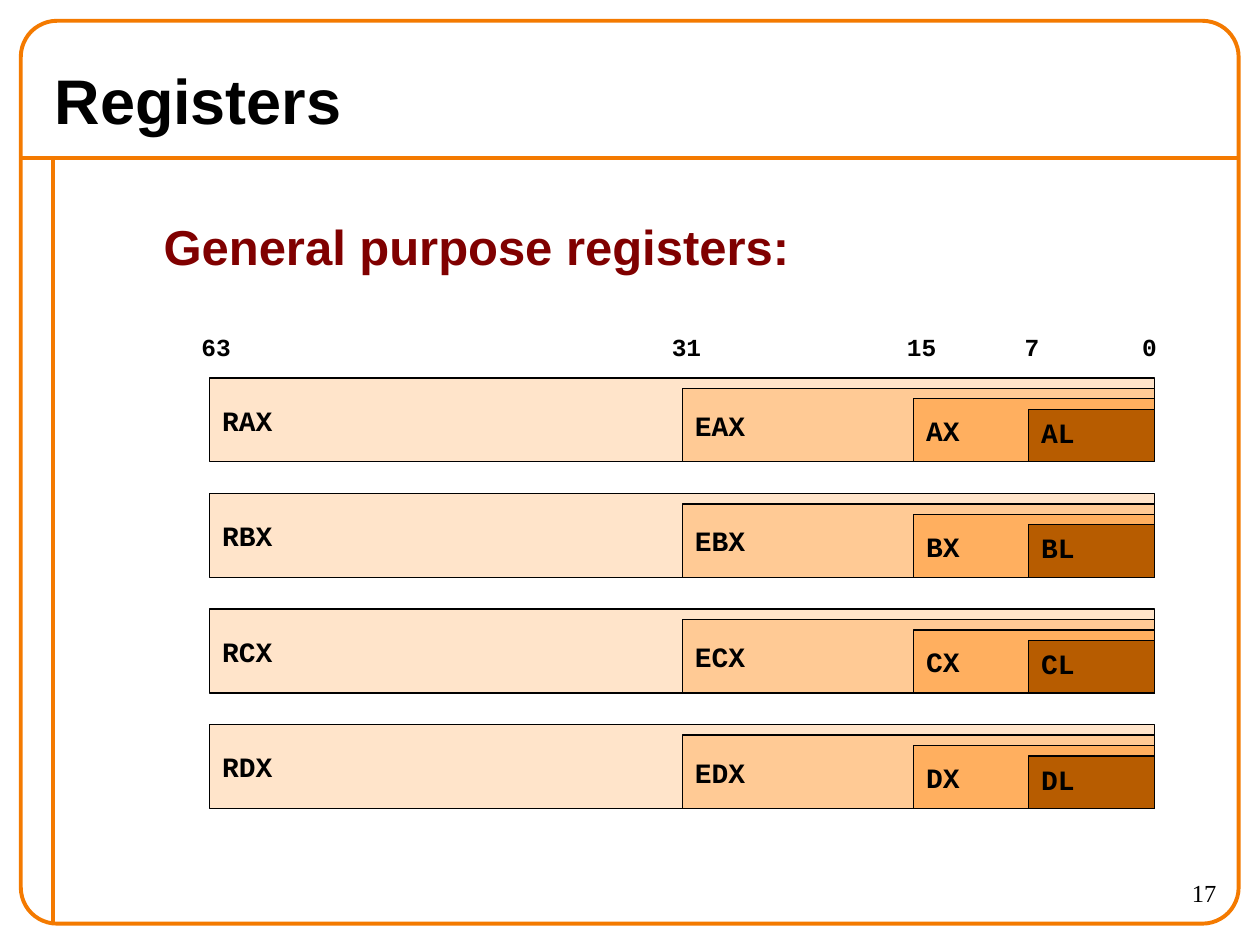
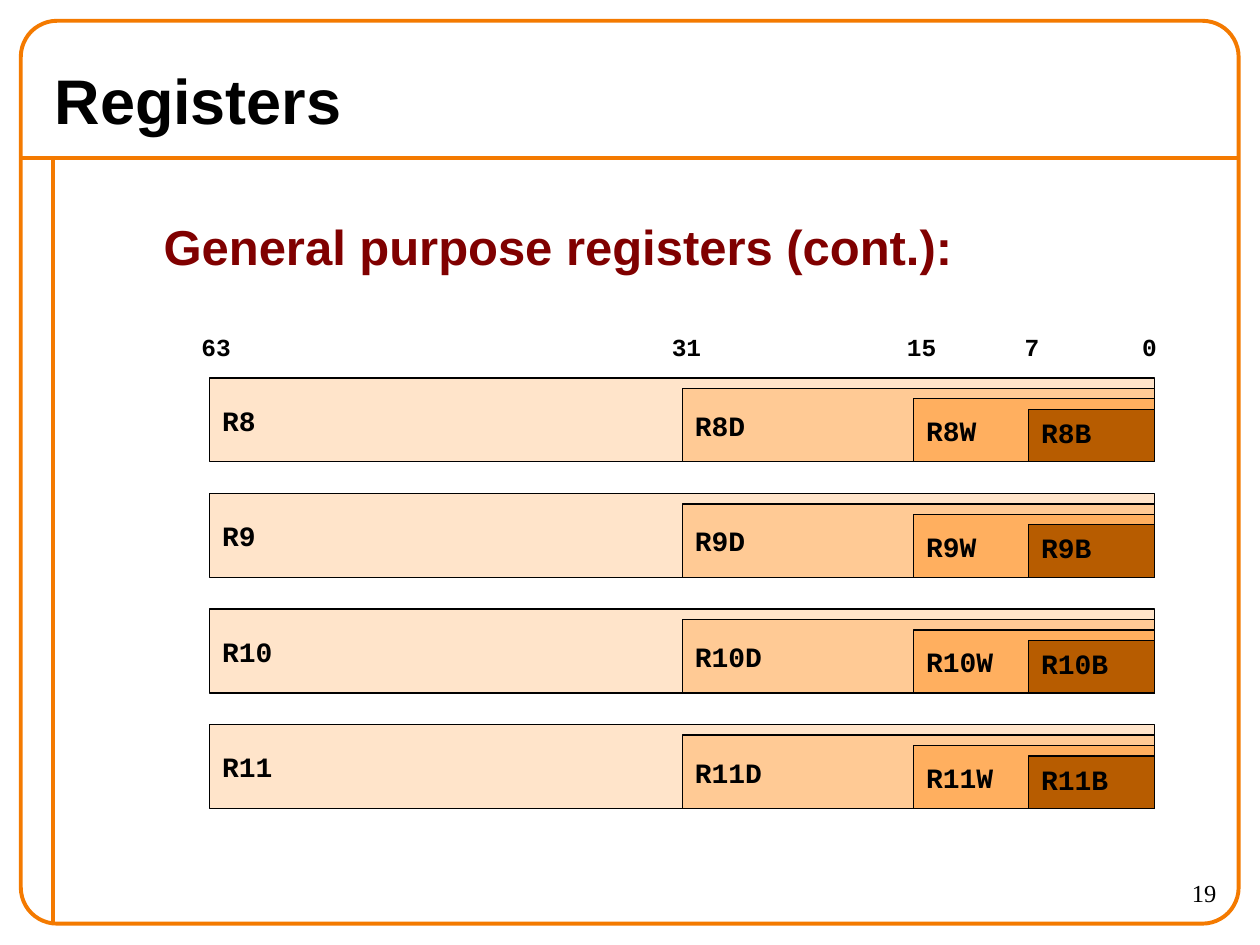
import pptx
import pptx.util
import pptx.dml.color
import pptx.enum.shapes
import pptx.enum.text
import pptx.oxml.ns
import lxml.etree

Cm, Pt = pptx.util.Cm, pptx.util.Pt
KIND = pptx.enum.shapes.MSO_SHAPE
ALIGN = pptx.enum.text.PP_ALIGN
ANCHOR = pptx.enum.text.MSO_ANCHOR

COLORS = {"frame": "F47A00", "head": "800000", "ink": "000000",
          "quad": "FFE4CA", "long": "FFCA95", "word": "FFAF5F", "byte": "B75C00"}

# Register bars, in cm: (colour, left edge) of each nested field
FIELDS = [("quad", 4.23), ("long", 13.76), ("word", 18.42), ("byte", 20.74)]
RIGHT, TOP, TALL = 23.28, 7.62, 1.69
PITCH, STEP = 2.33, 0.21

# Bit marks sit on a grid of monospaced characters
BITS = [63, 31, 15, 7, 0]
BIT_SIZE = 14
CHAR = BIT_SIZE * 0.6

SLIDES = [
    ("General purpose registers:", 17,
     [[f"R{x}X", f"E{x}X", f"{x}X", f"{x}L"] for x in "ABCD"]),
    ("General purpose registers (cont.):", 19,
     [[f"R{n}{end}" for end in ("", "D", "W", "B")] for n in range(8, 12)]),
]


def paint(color):
    return pptx.dml.color.RGBColor.from_string(COLORS[color])


def stroke(line, color, width):
    line.color.rgb = paint(color)
    line.width = Pt(width)


def write(shape, text, size, font, color="ink", bold=True,
          align=ALIGN.LEFT, anchor=ANCHOR.TOP, wrap=True):
    frame = shape.text_frame
    frame.word_wrap = wrap
    frame.vertical_anchor = anchor
    para = frame.paragraphs[0]
    para.text = text
    para.alignment = align
    para.font.size = Pt(size)
    para.font.name = font
    para.font.bold = bold
    para.font.color.rgb = paint(color)
    return para


def label(slide, box, text, size, font, **style):
    shape = slide.shapes.add_textbox(*map(Cm, box))
    return write(shape, text, size, font, **style)


def rule(slide, x1, y1, x2, y2):
    line = slide.shapes.add_connector(
        pptx.enum.shapes.MSO_CONNECTOR.STRAIGHT, Cm(x1), Cm(y1), Cm(x2), Cm(y2))
    stroke(line.line, "frame", 2.25)
    props = line.element.find(pptx.oxml.ns.qn("p:spPr"))
    lxml.etree.SubElement(props, pptx.oxml.ns.qn("a:effectLst"))


def block(slide, kind, box):
    shape = slide.shapes.add_shape(kind, *map(Cm, box))
    shape.shadow.inherit = False
    return shape


def base(slide, title, number):
    # Frame with its two rules
    rule(slide, 0.42, 3.18, 24.98, 3.18)
    rule(slide, 1.06, 3.18, 1.06, 18.63)
    edge = block(slide, KIND.ROUNDED_RECTANGLE, (0.42, 0.42, 24.55, 18.2))
    edge.adjustments[0] = 0.04
    edge.fill.background()
    stroke(edge.line, "frame", 2.25)
    # Title and page number
    label(slide, (0.85, 1.06, 23.71, 1.9), title, 36, "Arial",
          anchor=ANCHOR.MIDDLE)
    label(slide, (22.23, 17.57, 2.54, 1.06), str(number), 14,
          "Times New Roman", bold=False, align=ALIGN.RIGHT)


def scale(slide):
    para = label(slide, (3.81, 6.56, 20.11, 1.45), "\t".join(map(str, BITS)),
                 BIT_SIZE, "Courier New")
    props = para._p.get_or_add_pPr()
    tabs = lxml.etree.Element(pptx.oxml.ns.qn("a:tabLst"))
    for bit in BITS[1:]:
        place = Pt(CHAR * (BITS[0] - bit + bit // 63 + (bit == 0)))
        lxml.etree.SubElement(tabs, pptx.oxml.ns.qn("a:tab"),
                              pos=str(int(place)), algn="l")
    props.insert_element_before(tabs, "a:defRPr", "a:extLst")


def bar(slide, row, names):
    for depth, (name, (color, left)) in enumerate(zip(names, FIELDS)):
        drop = depth * STEP
        field = block(slide, KIND.RECTANGLE,
                      (left, TOP + row * PITCH + drop, RIGHT - left, TALL - drop))
        field.fill.solid()
        field.fill.fore_color.rgb = paint(color)
        stroke(field.line, "ink", 0.75)
        anchor = ANCHOR.TOP if color == "byte" else ANCHOR.MIDDLE
        write(field, name, 16, "Courier New", anchor=anchor)


def main():
    deck = pptx.Presentation()
    deck.slide_width, deck.slide_height = Cm(25.4), Cm(19.05)
    for head, number, rows in SLIDES:
        slide = deck.slides.add_slide(deck.slide_layouts[6])
        base(slide, "Registers", number)
        label(slide, (3.05, 4.24, 16.4, 1.45), head, 28, "Arial",
              color="head", wrap=False)
        scale(slide)
        for row, names in enumerate(rows):
            bar(slide, row, names)
    deck.save("out.pptx")


if __name__ == "__main__":
    main()
